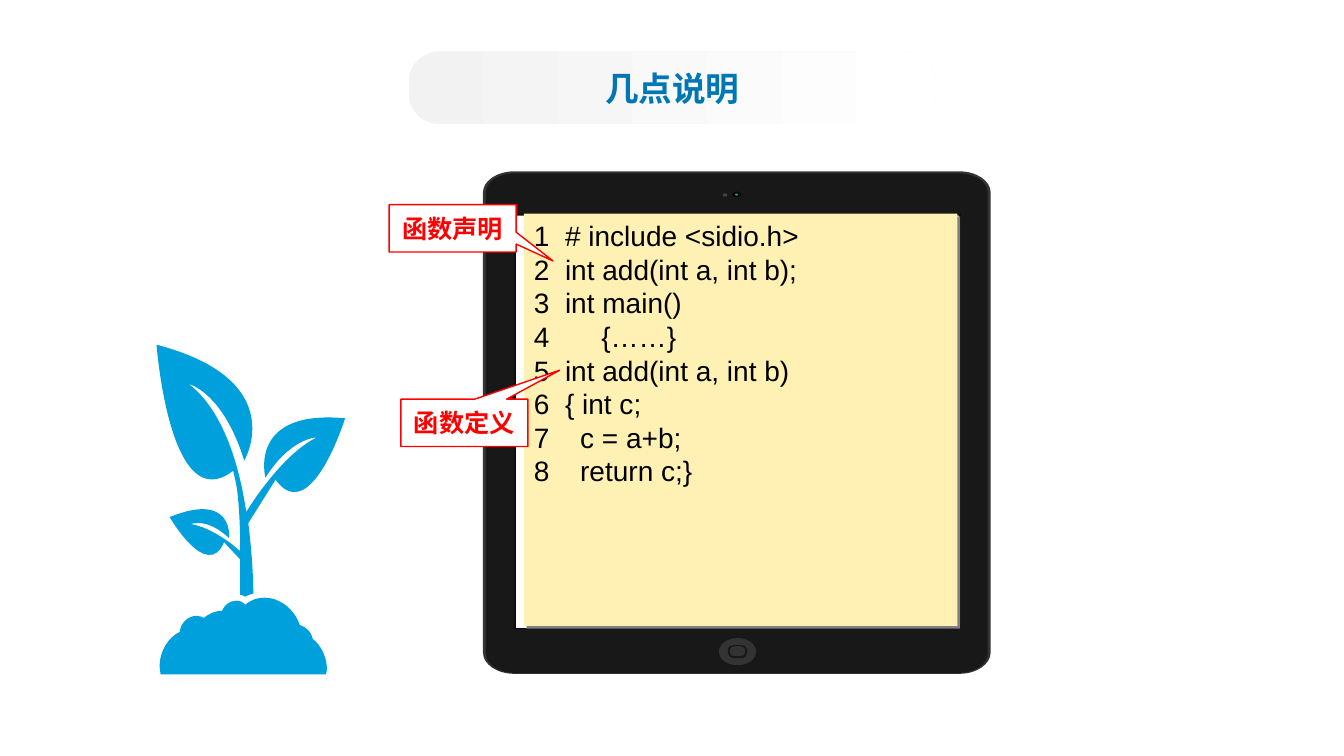
from lxml import etree
from pptx import Presentation
from pptx.dml.color import RGBColor
from pptx.enum.shapes import MSO_SHAPE as SHAPE
from pptx.enum.text import MSO_ANCHOR as ANCHOR, PP_ALIGN as ALIGN
from pptx.oxml.ns import qn
from pptx.util import Inches, Pt

# The slide is a grid of 1333 columns by 750 rows
CELL = Inches(0.01)
COLS, ROWS = 1333, 750
FINE = 100  # outline units in a cell
COLORS = {
    "rim": "333333", "body": "181818", "lens": "0A0A0A", "black": "000000",
    "glint": "2C99B4", "sensor": "464646", "bezel": "0C0D11",
    "white": "FFFFFF", "plant": "00A0DC", "title": "0077B5",
    "pill": "F2F2F2", "note": "FFF1B3", "shade": "808080", "red": "FF0000",
}

# Outlines start at a point; a pair is a line, six numbers are a Bézier curve
MOUND = [
    (23, 285), (24, 276, 31, 269, 40, 269), (42, 269, 45, 270, 47, 271),
    (52, 267, 58, 264, 65, 264), (67, 259, 72, 254, 79, 254),
    (83, 254, 85, 255, 88, 258), (94, 253, 100, 251, 107, 251),
    (123, 251, 137, 263, 142, 278), (148, 280, 154, 285, 155, 292),
    (163, 298, 169, 310, 169, 322), (169, 325, 168, 326, 168, 327),
    (4, 327), (4, 325, 3, 322, 3, 319), (3, 304, 12, 290, 23, 285),
]
SPROUT = [
    (108, 132), (133, 92, 159, 92, 159, 92), (126, 108, 95, 156, 89, 166),
    (82, 119, 66, 65, 32, 39), (32, 39, 66, 47, 87, 115),
    (87, 115, 134, 35, 0, 0), (0, 0, 13, 174, 76, 125), (78, 134),
    (81, 145, 83, 174, 83, 205), (77, 199, 54, 181, 34, 178),
    (34, 178, 50, 171, 72, 192), (72, 192, 77, 145, 13, 171),
    (13, 171, 50, 235, 67, 196), (83, 213), (83, 248),
    (84, 248, 86, 249, 88, 250), (90, 248, 93, 248, 96, 247),
    (96, 236, 95, 209, 91, 177), (118, 134), (153, 182, 187, 73, 187, 73),
    (90, 64, 108, 132, 108, 132),
]
HOME_RING = [
    (18, 8), (17, 8), (17, 10, 15, 11, 12, 11), (6, 11), (4, 11, 2, 10, 2, 8),
    (2, 4), (2, 3, 4, 1, 6, 1), (12, 1), (15, 1, 17, 3, 17, 4), (17, 8),
    (19, 8), (19, 4), (19, 2, 17, 0, 12, 0), (6, 0), (3, 0, 0, 2, 0, 4),
    (0, 8), (0, 11, 3, 13, 6, 13), (12, 13), (17, 13, 19, 11, 19, 8),
]

CODE, INNER, BLOCK = 31, 46, 67  # indents in columns
LISTING = [
    (CODE, "1\t# include <sidio.h>"), (CODE, "2\tint add(int a, int b);"),
    (CODE, "3\tint main()"), (BLOCK, "{……}"),
    (CODE, "5\tint add(int a, int b)"), (CODE, "6\t{ int c;"),
    (INNER, "7\tc = a+b;"), (INNER, "8\treturn c;}"),
]
AUTO_NUMBERED = 4


def rgb(name):
    return RGBColor.from_string(COLORS[name])


def paint(sp, fill):
    sp.shadow.inherit = False
    sp.fill.solid()
    sp.fill.fore_color.rgb = rgb(fill)
    sp.line.fill.background()
    return sp


def add_part(s, kind, box, fill):
    return paint(s.shapes.add_shape(kind, *(round(v * CELL) for v in box)), fill)


def add_outline(s, left, top, outline, fill):
    """Build a freeform on the end points, then bend its curved segments."""
    ends = [((left + seg[-2]) * FINE, (top + seg[-1]) * FINE) for seg in outline]
    builder = s.shapes.build_freeform(*ends[0], scale=CELL / FINE)
    builder.add_line_segments(ends[1:], close=True)
    sp = builder.convert_to_shape()
    x0, y0 = min(seg[-2] for seg in outline), min(seg[-1] for seg in outline)
    lines = list(sp.element.iter(qn("a:lnTo")))
    for line, seg in zip(lines, outline[1:]):
        if len(seg) == 2:
            continue
        line.tag = qn("a:cubicBezTo")
        controls = [etree.Element(qn("a:pt"), x=str(round((x - x0) * FINE)),
                                  y=str(round((y - y0) * FINE)))
                    for x, y in (seg[:2], seg[2:4])]
        for i, pt in enumerate(controls):
            line.insert(i, pt)
    return paint(sp, fill)


def add_rounded(s, box, rx, ry, fill):
    """Add a rectangle whose corners are wider than they are tall."""
    left, top, w, h = box
    kx, ky = rx * 0.45, ry * 0.45
    outline = [
        (w, h - ry), (w, h - ky, w - kx, h, w - rx, h),
        (rx, h), (kx, h, 0, h - ky, 0, h - ry),
        (0, ry), (0, ky, kx, 0, rx, 0),
        (w - rx, 0), (w - kx, 0, w, ky, w, ry),
    ]
    add_outline(s, left, top, outline, fill)


def style(p, size, color, font, bold=False):
    p.font.size, p.font.name, p.font.bold = Pt(size), font, bold
    p.font.color.rgb = rgb(color)


def set_label(sp, text, size, color, font):
    tf = sp.text_frame
    tf.vertical_anchor = ANCHOR.MIDDLE
    p = tf.paragraphs[0]
    p.text, p.alignment = text, ALIGN.CENTER
    style(p, size, color, font, bold=True)


def add_tablet(s, box):
    left, top, w, h = box
    add_rounded(s, box, 31, 21, "rim")
    add_rounded(s, (left + 3, top + 2, w - 6, h - 3), 28, 19, "body")
    for kind, x, y, pw, ph, fill in [
        (SHAPE.OVAL, 247, 20, 9, 6, "lens"),
        (SHAPE.OVAL, 249, 21, 5, 4, "black"),
        (SHAPE.OVAL, 250, 22, 3, 2, "glint"),
        (SHAPE.RECTANGLE, 238, 22, 4, 3, "sensor"),
        (SHAPE.RECTANGLE, 31, 42, 443, 412, "bezel"),
        (SHAPE.RECTANGLE, 33, 44, 439, 409, "white"),
        (SHAPE.OVAL, 234, 463, 37, 27, "rim"),
    ]:
        add_part(s, kind, (left + x, top + y, pw, ph), fill)
    add_outline(s, left + 243, top + 470, HOME_RING, "body")


def add_plant(s, left, top):
    add_outline(s, left, top, MOUND, "plant")
    add_outline(s, left, top, SPROUT, "plant")


def add_title(s, box):
    sp = add_part(s, SHAPE.ROUNDED_RECTANGLE, box, "pill")
    sp.adjustments[0] = 0.42
    sp.fill.gradient()
    sp.fill.gradient_angle = 0
    for stop, place, color in zip(sp.fill.gradient_stops, (0, 0.99), ("pill", "white")):
        stop.position = place
        stop.color.rgb = rgb(color)
    set_label(sp, "几点说明", 24, "title", "Noto Sans CJK SC")


def add_hard_shadow(sp):
    effects = sp.element.spPr.find(qn("a:effectLst"))
    shadow = etree.SubElement(effects, qn("a:outerShdw"), dist=str(Pt(2.8)),
                              dir=str(45 * 60000), algn="ctr", rotWithShape="0")
    etree.SubElement(shadow, qn("a:srgbClr"), val=COLORS["shade"])


def add_code_note(s, box):
    sp = add_part(s, SHAPE.RECTANGLE, box, "note")
    add_hard_shadow(sp)
    tf = sp.text_frame
    tf.word_wrap, tf.vertical_anchor = True, ANCHOR.TOP
    for number, (indent, code) in enumerate(LISTING, 1):
        p = tf.paragraphs[0] if number == 1 else tf.add_paragraph()
        p.text, p.alignment, p.line_spacing = code, ALIGN.LEFT, Pt(24)
        style(p, 20, "black", "Arial")
        pPr = p._p.get_or_add_pPr()
        pPr.set("marL", str(indent * CELL))
        pPr.set("indent", str(-indent * CELL))
        if number == AUTO_NUMBERED:
            bullet = etree.Element(qn("a:buAutoNum"), type="arabicPlain",
                                   startAt=str(number))
            pPr.find(qn("a:defRPr")).addprevious(bullet)


def add_callout(s, box, text, tip):
    sp = add_part(s, SHAPE.RECTANGULAR_CALLOUT, box, "white")
    sp.line.color.rgb, sp.line.width = rgb("red"), Pt(1)
    sp.adjustments[0], sp.adjustments[1] = tip
    set_label(sp, text, 18, "red", "Arial")


def main():
    prs = Presentation()
    prs.slide_width, prs.slide_height = COLS * CELL, ROWS * CELL
    s = prs.slides.add_slide(prs.slide_layouts[6])
    add_tablet(s, (479, 170, 503.5, 498.5))
    add_plant(s, 155.3, 342)
    add_title(s, (405.4, 51, 523, 72))
    add_code_note(s, (519.6, 212, 430, 409))
    add_callout(s, (386, 203, 126, 47), "函数声明", (0.79, 0.69))
    add_callout(s, (397.6, 396, 126, 47), "函数定义", (0.75, -1.11))
    prs.save("out.pptx")


if __name__ == "__main__":
    main()
